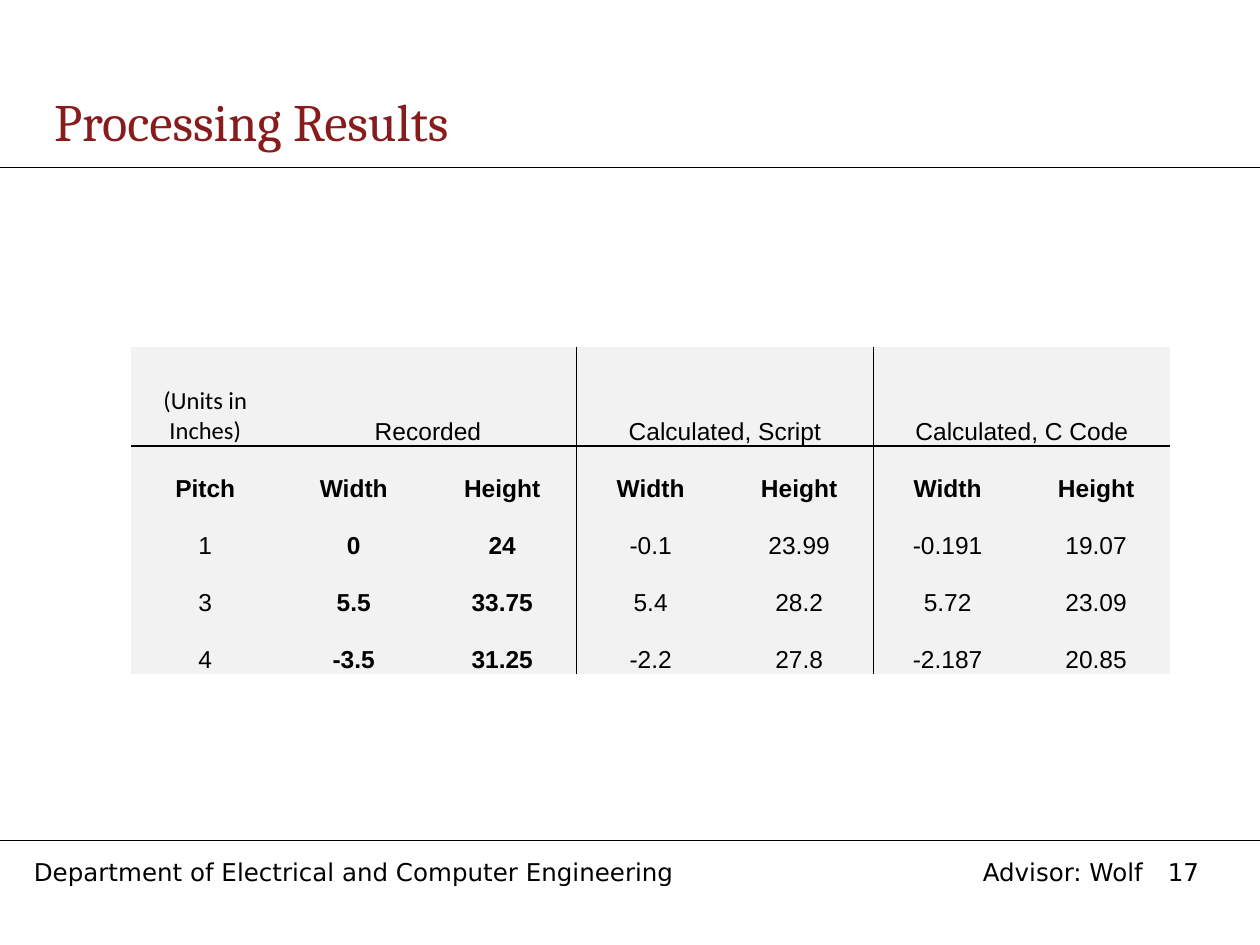
import pptx
import pptx.util
import pptx.dml.color
import pptx.enum.shapes
import pptx.enum.text
import pptx.oxml.ns
import lxml.etree

Inches, Pt = pptx.util.Inches, pptx.util.Pt
RGB = pptx.dml.color.RGBColor
ALIGN, ANCHOR = pptx.enum.text.PP_ALIGN, pptx.enum.text.MSO_ANCHOR
FIT = pptx.enum.text.MSO_AUTO_SIZE
qn, SubElement = pptx.oxml.ns.qn, lxml.etree.SubElement

BLACK = RGB(0x00, 0x00, 0x00)
MAROON = RGB(0x88, 0x1C, 0x1C)
GREY = RGB(0xF2, 0xF2, 0xF2)

# Content
TITLE = "Processing Results"
FOOT = [  # text, left, top, width, alignment, wrap
    ("17", 9.17, 6.75, 0.67, ALIGN.LEFT, True),
    ("Department of Electrical and Computer Engineering", 0.17, 6.75, 5.3, ALIGN.LEFT, False),
    ("Advisor: Wolf", 7.65, 6.75, 1.52, ALIGN.RIGHT, False),
]
GROUPS = [("(Units in Inches)", 1), ("Recorded", 2),
          ("Calculated, Script", 2), ("Calculated, C Code", 2)]
ROWS = [
    ["Pitch"] + ["Width", "Height"] * 3,
    ["1", "0", "24", "-0.1", "23.99", "-0.191", "19.07"],
    ["3", "5.5", "33.75", "5.4", "28.2", "5.72", "23.09"],
    ["4", "-3.5", "31.25", "-2.2", "27.8", "-2.187", "20.85"],
]

# Layout
WIDE, HIGH = 10, 7.5
RULES = (1.33, 6.67)
GRID = (1.04, 2.75, 8.25, 2.6)
HEAD = 0.79
CUTS = (3, 5)  # columns with a line on their left


def style(font, **vals):
    font.color.rgb = vals.pop("rgb", BLACK)
    for key, val in vals.items():
        setattr(font, key, val)


def write(frame, text, align, **vals):
    frame.text = text
    para = frame.paragraphs[0]
    para.alignment = align
    style(para.runs[0].font, **vals)


def edge(cell, sides):
    """Draw the named sides and clear the others."""
    props = cell._tc.get_or_add_tcPr()
    for i, side in enumerate("LRTB"):
        line = lxml.etree.Element(qn("a:ln" + side), w=str(Pt(1)))
        if side in sides:
            fill = SubElement(line, qn("a:solidFill"))
            SubElement(fill, qn("a:srgbClr"), val=str(BLACK))
        else:
            SubElement(line, qn("a:noFill"))
        props.insert(i, line)


def fill_cell(table, row, col, text, span=1, name="Arial", bold=False):
    cell = table.cell(row, col)
    if span > 1:
        cell.merge(table.cell(row, col + span - 1))
    write(cell.text_frame, text, ALIGN.CENTER, name=name, size=Pt(14), bold=bold)
    for c in range(col, col + span):
        part = table.cell(row, c)
        part.fill.solid()
        part.fill.fore_color.rgb = GREY
        tests = {"L": col in CUTS, "R": col + span in CUTS, "T": row == 1, "B": row == 0}
        edge(part, [side for side, on in tests.items() if on])
    cell.vertical_anchor = ANCHOR.BOTTOM
    for side in ("left", "right", "top", "bottom"):
        setattr(cell, "margin_" + side, 0)


def main():
    deck = pptx.Presentation()
    deck.slide_width, deck.slide_height = Inches(WIDE), Inches(HIGH)
    slide = deck.slides.add_slide(deck.slide_layouts[5])
    shapes = slide.shapes

    # Rules above and below the body
    for y in RULES:
        rule = shapes.add_connector(pptx.enum.shapes.MSO_CONNECTOR.STRAIGHT,
                                    0, Inches(y), Inches(WIDE), Inches(y))
        rule.line.color.rgb, rule.line.width = BLACK, Pt(1)
        SubElement(rule._element.spPr, qn("a:effectLst"))

    # Footer
    for text, left, top, width, align, wrap in FOOT:
        box = shapes.add_textbox(*map(Inches, (left, top, width, 0.33)))
        box.text_frame.word_wrap = wrap
        write(box.text_frame, text, align, name="DejaVu Sans", size=Pt(14))

    # Title
    title = shapes.title
    title.left, title.top, title.width, title.height = map(Inches, (0.33, 0.67, 9.67, 0.58))
    title.text_frame.auto_size = FIT.NONE
    title.text_frame.vertical_anchor = ANCHOR.MIDDLE
    write(title.text_frame, TITLE, ALIGN.LEFT, name="Cambria", size=Pt(30), rgb=MAROON)

    # Table
    count = len(ROWS[0])
    table = shapes.add_table(len(ROWS) + 1, count, *map(Inches, GRID)).table
    table.first_row = table.horz_banding = False
    for col in table.columns:
        col.width = Inches(GRID[2] / count)
    for r, row in enumerate(table.rows):
        row.height = Inches((GRID[3] - HEAD) / len(ROWS) if r else HEAD)

    start = 0
    for text, span in GROUPS:
        fill_cell(table, 0, start, text, span, "Arial" if start else "Calibri")
        start += span
    for r, row in enumerate(ROWS, 1):
        for c, text in enumerate(row):
            fill_cell(table, r, c, text, bold=r == 1 or c in (1, 2))

    deck.save("out.pptx")


if __name__ == "__main__":
    main()
